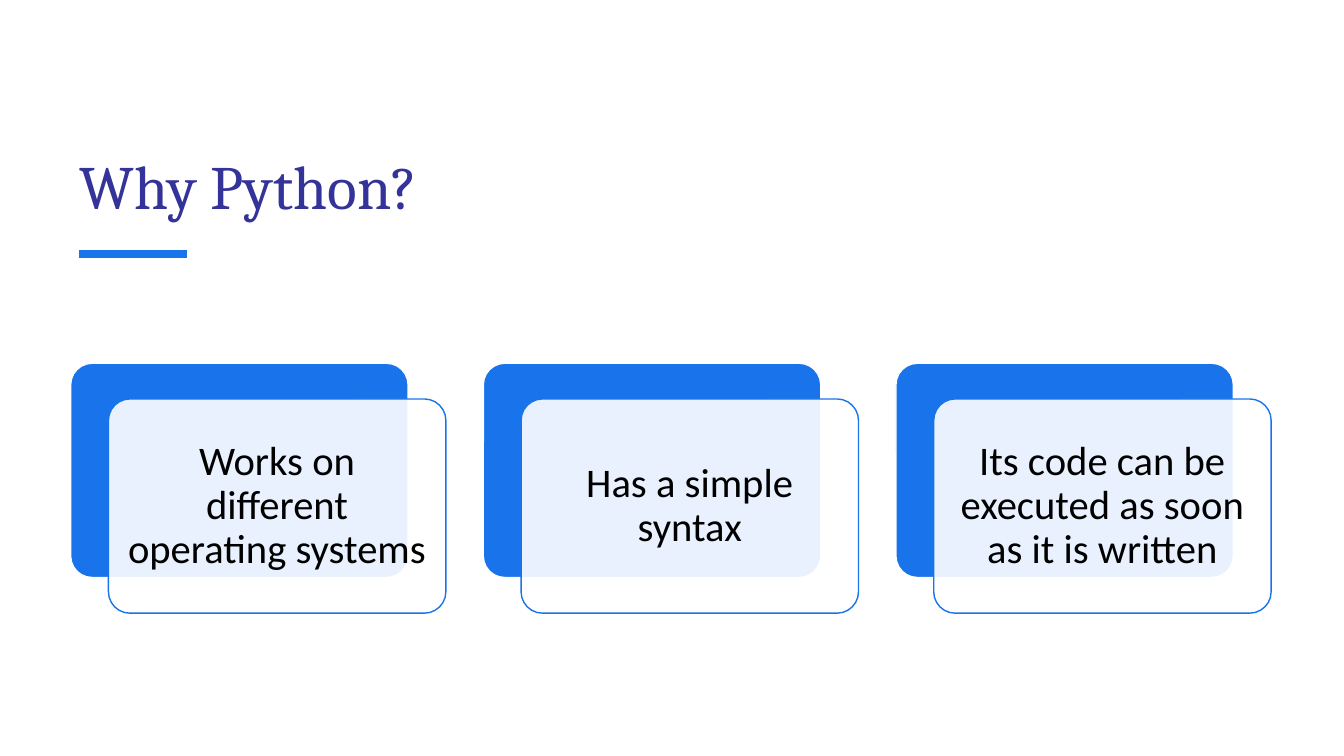
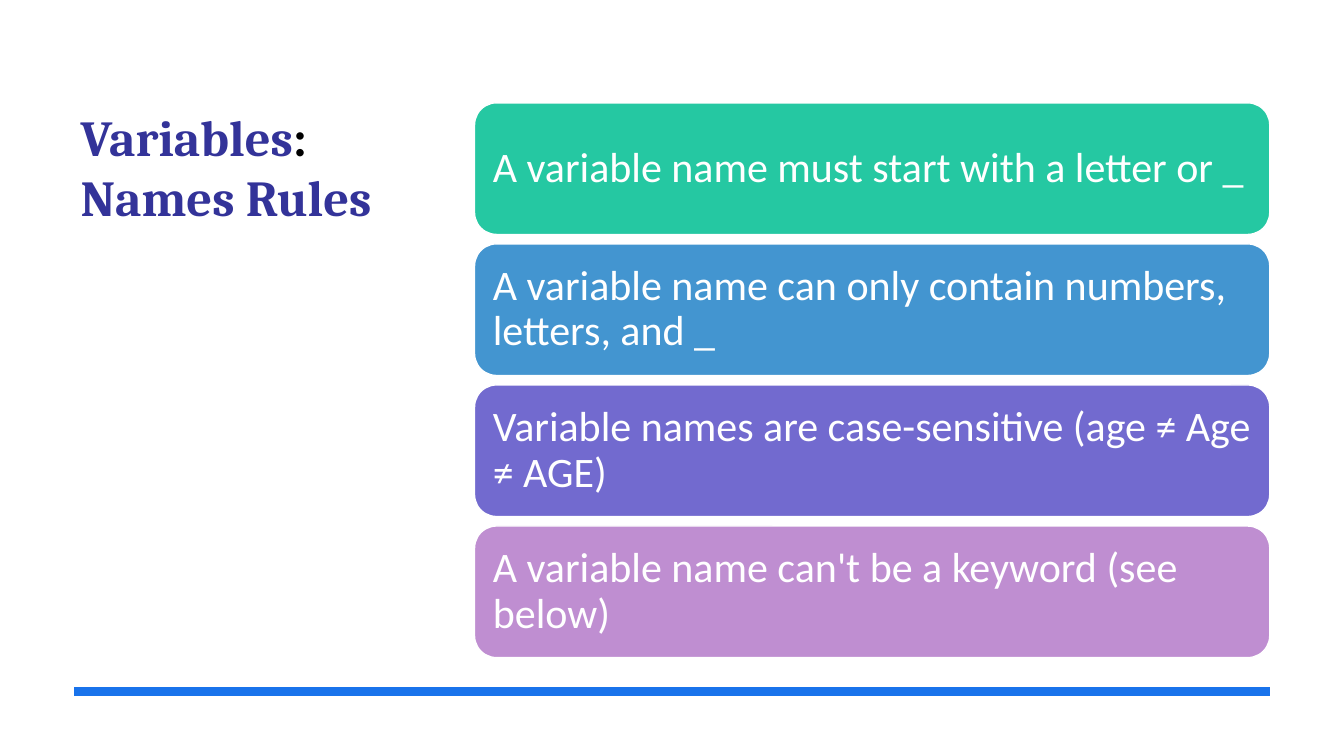
import pptx
import pptx.util
import pptx.dml.color
import pptx.enum.shapes
import pptx.enum.text
import pptx.oxml.ns
import lxml.etree

Pt = pptx.util.Pt
RGBColor = pptx.dml.color.RGBColor
ANCHOR = pptx.enum.text.MSO_ANCHOR
ALIGN = pptx.enum.text.PP_ALIGN
ROUNDED = pptx.enum.shapes.MSO_SHAPE.ROUNDED_RECTANGLE
STRAIGHT = pptx.enum.shapes.MSO_CONNECTOR.STRAIGHT
qn = pptx.oxml.ns.qn

BLUE = RGBColor(0x19, 0x73, 0xEB)
INDIGO = RGBColor(0x33, 0x33, 0x99)
BLACK = RGBColor(0x00, 0x00, 0x00)
WHITE = RGBColor(0xFF, 0xFF, 0xFF)
GREEN = RGBColor(0x25, 0xC8, 0xA2)
SKY = RGBColor(0x43, 0x95, 0xD0)
VIOLET = RGBColor(0x72, 0x6A, 0xCF)
LILAC = RGBColor(0xBF, 0x8E, 0xD1)


def add_panel(slide, box, fill, outline, text="", size=29, color=BLACK, align=ALIGN.CENTER):
    shape = slide.shapes.add_shape(ROUNDED, *[Pt(length) for length in box])
    shape.shadow.inherit = False
    shape.fill.solid()
    shape.fill.fore_color.rgb = fill
    shape.line.color.rgb = outline
    shape.line.width = Pt(1)
    if text:
        frame = shape.text_frame
        frame_format = {"word_wrap": True, "vertical_anchor": ANCHOR.MIDDLE}
        for side in ("left", "top", "right", "bottom"):
            frame_format["margin_" + side] = Pt(8.5)
        for name, value in frame_format.items():
            setattr(frame, name, value)
        paragraph = frame.paragraphs[0]
        paragraph.alignment = align
        paragraph.line_spacing = 0.9
        run = paragraph.add_run()
        run.text = text
        for name, value in {"name": "Calibri", "size": Pt(size)}.items():
            setattr(run.font, name, value)
        run.font.color.rgb = color
    return shape


def add_heading(slide, box, anchor, size, bold, runs, rule):
    frame = slide.shapes.add_textbox(*[Pt(length) for length in box]).text_frame
    frame.word_wrap = True
    frame.vertical_anchor = anchor
    for text, font_name, color in runs:
        run = frame.paragraphs[0].add_run()
        run.text = text
        for name, value in {"name": font_name, "size": Pt(size), "bold": bold}.items():
            setattr(run.font, name, value)
        run.font.color.rgb = color
    left, right, y = rule
    connector = slide.shapes.add_connector(STRAIGHT, Pt(left), Pt(y), Pt(right), Pt(y))
    connector.line.color.rgb = BLUE
    connector.line.width = Pt(6)
    lxml.etree.SubElement(connector._element.spPr, qn("a:effectLst"))


presentation = pptx.Presentation()
presentation.slide_width = Pt(960)
presentation.slide_height = Pt(540)
blank = presentation.slide_layouts[6]

slide = presentation.slides.add_slide(blank)
add_heading(slide, (50, 52.5, 857, 109.5), ANCHOR.BOTTOM, 44, False,
            [("Why Python?", "Cambria", INDIGO)], (56.5, 133.5, 181.5))

reasons = [
    "Works on different operating systems",
    "Has a simple syntax",
    "Its code can be executed as soon as it is written",
]
for index, reason in enumerate(reasons):
    left = 50.5 + index * 294.75
    back = add_panel(slide, (left, 259.5, 241, 153), BLUE, WHITE)
    front = add_panel(slide, (left + 27, 285, 241, 153), WHITE, BLUE, reason)
    for card in (back, front):
        card.adjustments[0] = 0.1
    fill_color = front._element.spPr.find(qn("a:solidFill"))[0]
    lxml.etree.SubElement(fill_color, qn("a:alpha"), val="90000")

slide = presentation.slides.add_slide(blank)
add_heading(slide, (50.5, 72, 236, 327.5), ANCHOR.TOP, 36, True,
            [("Variables", "Cambria", INDIGO), (": ", "Calibri", BLACK),
             ("Names Rules", "Cambria", INDIGO)], (53, 907, 494))

rules = [
    ("A variable name must start with a letter or _", GREEN),
    ("A variable name can only contain numbers, letters, and _", SKY),
    ("Variable names are case-sensitive (age ≠ Age ≠ AGE)", VIOLET),
    ("A variable name can't be a keyword (see below)", LILAC),
]
for index, (rule, color) in enumerate(rules):
    add_panel(slide, (339, 73.5 + index * 100.75, 568, 94), color, WHITE,
              rule, 30, WHITE, ALIGN.LEFT)

presentation.save("out.pptx")
